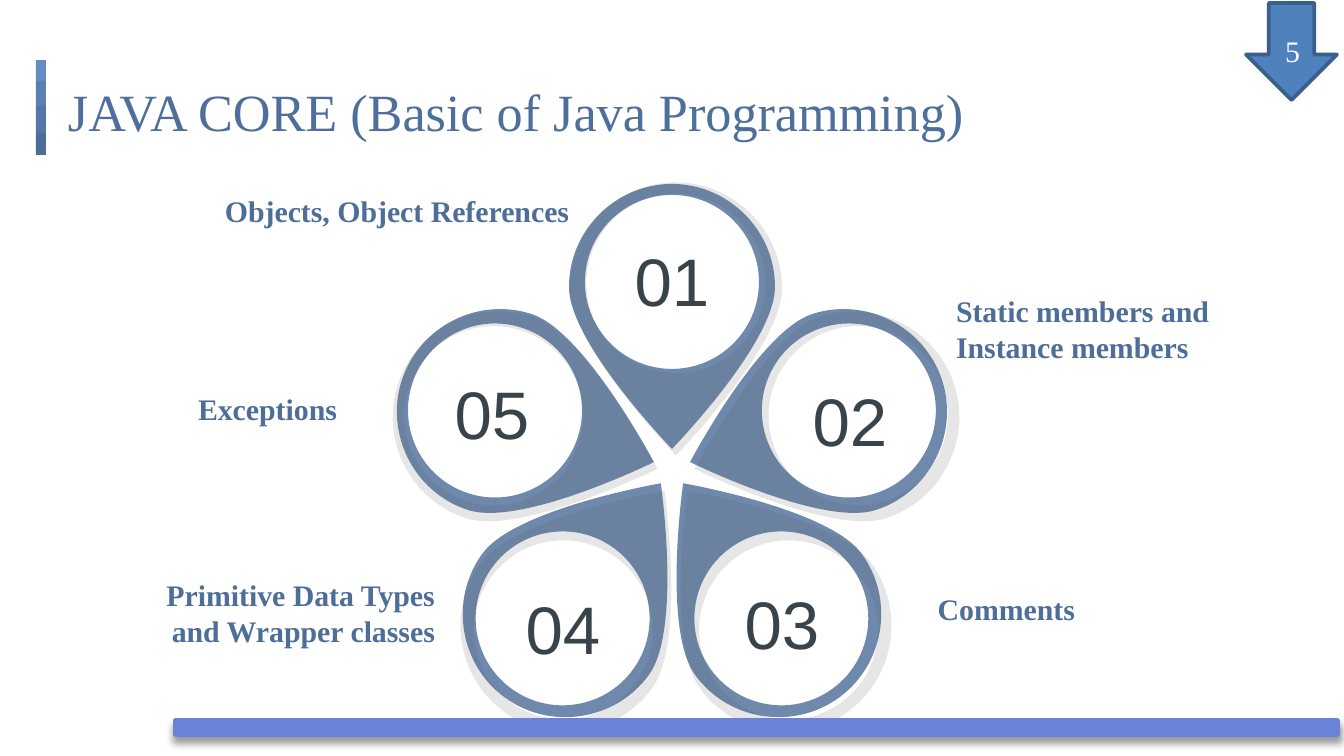
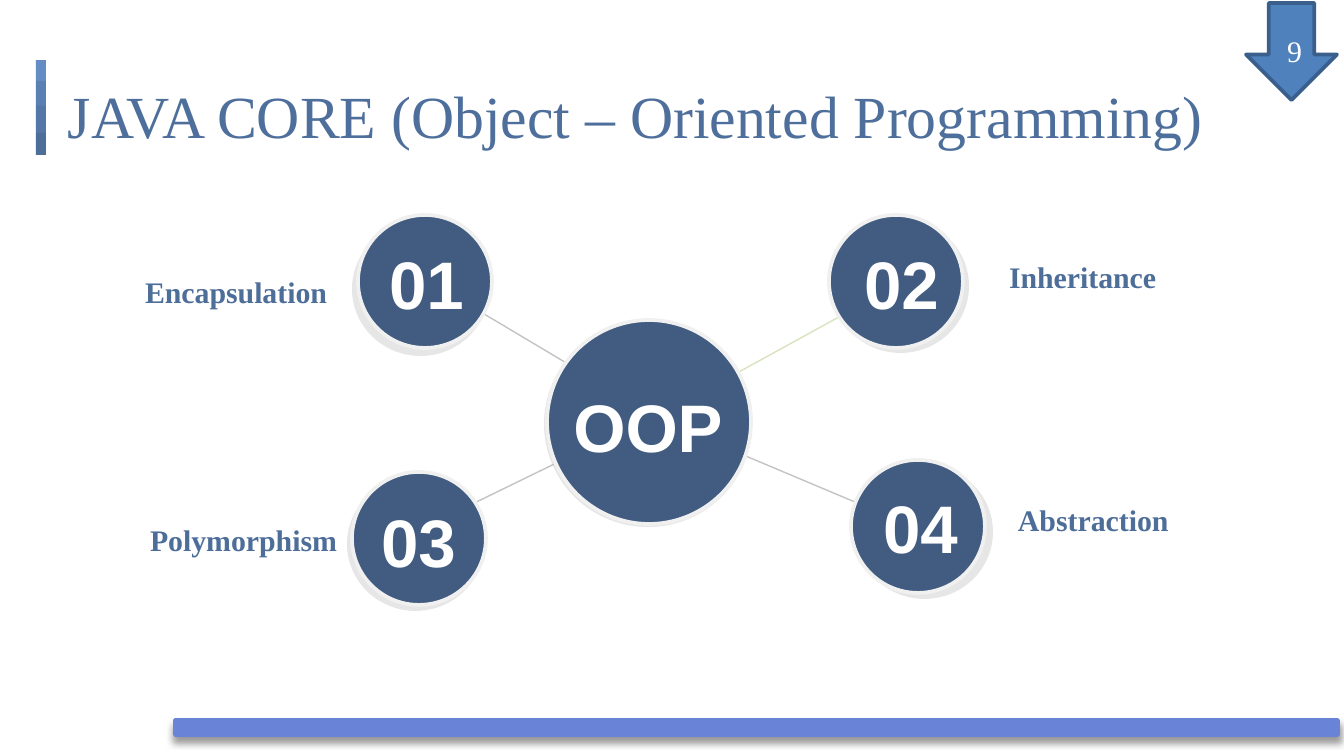
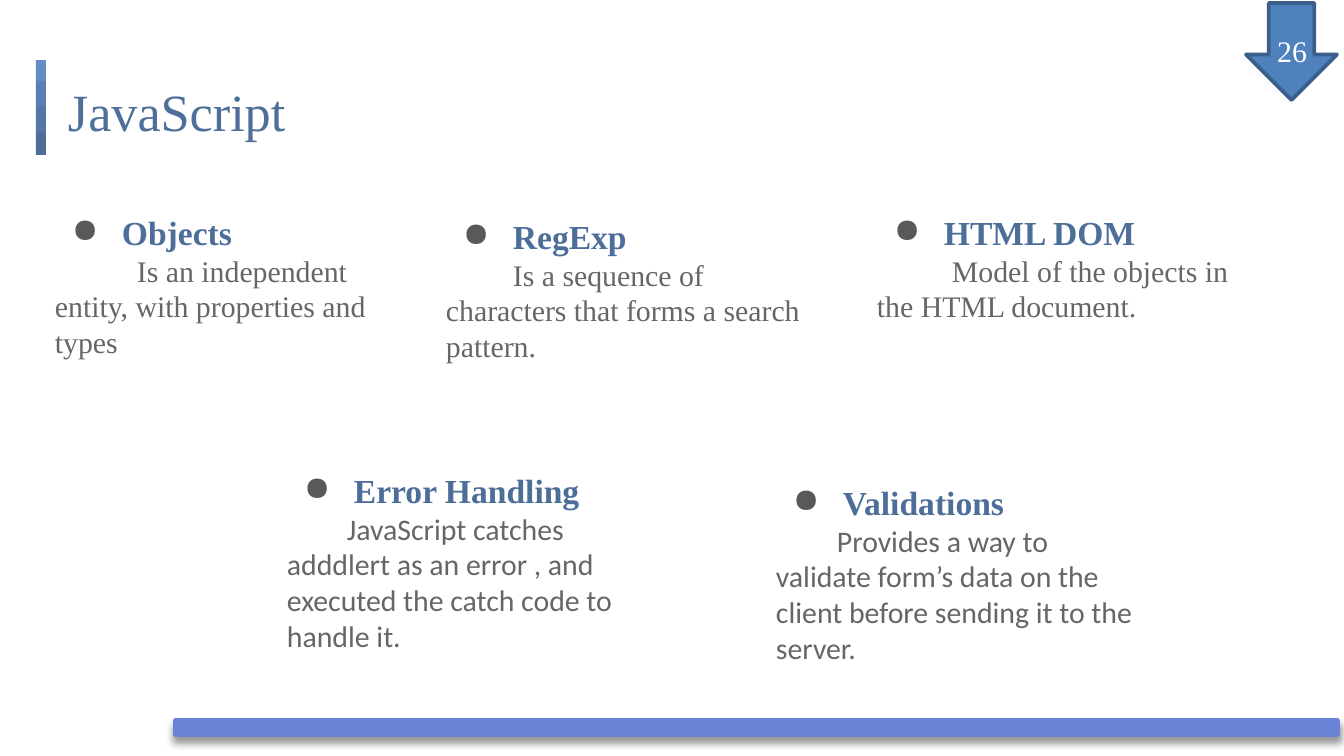
from dataclasses import dataclass
from math import cos, radians, sin

from lxml import etree
from pptx import Presentation
from pptx.dml.color import RGBColor
from pptx.enum.shapes import MSO_CONNECTOR, MSO_SHAPE
from pptx.enum.text import MSO_ANCHOR, MSO_AUTO_SIZE, PP_ALIGN
from pptx.oxml.ns import qn
from pptx.util import Pt

RECT, OVAL, ARROW = MSO_SHAPE.RECTANGLE, MSO_SHAPE.OVAL, MSO_SHAPE.DOWN_ARROW
STRAIGHT = MSO_CONNECTOR.STRAIGHT
LEFT, CENTER, RIGHT = PP_ALIGN.LEFT, PP_ALIGN.CENTER, PP_ALIGN.RIGHT
TOP, MIDDLE = MSO_ANCHOR.TOP, MSO_ANCHOR.MIDDLE
NO_AUTOFIT = MSO_AUTO_SIZE.NONE

EMU_PER_PX = 914400 / 134.4
SLIDE_SIZE = (1344, 756)
TITLE_ONLY_LAYOUT = 5


@dataclass(frozen=True)
class Theme:
    serif: str = "Times New Roman"
    sans: str = "Arial"
    body_font: str = "Calibri"
    title: str = "4E6F9B"
    accent: str = "4E6E9A"
    disc: str = "415C80"
    disc_edge: str = "F0F0F0"
    shade: str = "595959"
    number: str = "38444A"
    body: str = "666666"
    white: str = "FFFFFF"
    bar: str = "6983D7"
    arrow: str = "4F81BD"
    arrow_edge: str = "3A5F8C"
    spoke: str = "C3C3C3"
    pale_spoke: str = "D7E4BD"
    number_size: int = 36
    heading_size: int = 18
    text_size: int = 16
    petal_opacity: int = 81
    shade_opacity: int = 15


THEME = Theme()

# Furniture shared by all slides
STRIPS = [(21, "648DC6"), (25, "5A7FB3"), (27, "5477A7"), (22, "4E6E9A")]
STRIP_LEFT, STRIP_TOP, STRIP_WIDTH = 36, 60, 10
TITLE_BOX = (55, 66, 1243, 83)
BAR_BOX = (175, 720, 1163, 15)
ARROW_BOX = (1246, 3, 91, 97)
INSET = 13

BASICS = {
    "title": "JAVA CORE (Basic of Java Programming)", "title_size": 28,
    "page": "5", "page_left": 1232,
    # number, number position, topic, topic box, topic alignment
    "topics": [
        ("01", (614, 231), "Objects, Object References", (212, 180, 378, 51), LEFT),
        ("02", (792, 371), "Static members and Instance members", (943, 280, 301, 51), LEFT),
        ("03", (724, 574), "Comments", (831, 578, 257, 51), RIGHT),
        ("04", (505, 579), "Primitive Data Types and Wrapper classes", (129, 564, 319, 106), RIGHT),
        ("05", (434, 364), "Exceptions", (185, 378, 241, 51), LEFT),
    ],
}
PETAL_NUMBER_SIZE = (116, 97)
FLOWER_CENTER, SHADE_CENTER, SHADE_SCALE = (672, 468), (676, 475), 1.03

# Upright petal, measured from the centre of the flower:
# a start, then two control points and an end for each curve
PETAL_RIM = [
    (0, -284),
    (-56, -284), (-103, -238), (-103, -181),
    (-103, -125), (0, -19), (0, -19),
    (0, -19), (103, -125), (103, -181),
    (103, -238), (56, -284), (0, -284),
]
PETAL_HOLE = [
    (0, -99),
    (-48, -99), (-87, -138), (-87, -186),
    (-87, -234), (-48, -273), (0, -273),
    (48, -273), (87, -234), (87, -186),
    (87, -138), (48, -99), (0, -99),
]

PILLARS = {
    "title": "JAVA CORE (Object – Oriented Programming)", "title_size": 32,
    "page": "9", "page_left": 1234,
    # number, disc, shade, number position, spoke, spoke colour, name, name position
    "pillars": [
        ("01", (358, 215), (352, 222), (368, 241), (427, 280, 657, 417),
         THEME.spoke, "Encapsulation", (132, 261)),
        ("02", (829, 215), (832, 219), (843, 241), (890, 289, 657, 417),
         THEME.pale_spoke, "Inheritance", (996, 246)),
        ("03", (352, 472), (347, 477), (360, 499), (458, 511, 657, 414),
         THEME.spoke, "Polymorphism", (137, 509)),
        ("04", (851, 460), (856, 465), (862, 485), (907, 524, 665, 422),
         THEME.spoke, "Abstraction", (1005, 489)),
    ],
}
HUB, HUB_BOX = "OOP", (547, 320, 204, 204)
HUB_SHADE_BOX, HUB_TEXT_BOX = (544, 321, 208, 206), (552, 384, 192, 83)
DISC_SIZE, DISC_SHADE_SIZE = (134, 133), (137, 134)
DISC_NUMBER_SIZE, PILLAR_NAME_SIZE = (117, 83), (241, 51)

SCRIPTING = {
    "title": "JavaScript", "title_size": 28, "page": "26", "page_left": 1239,
    # heading, explanation, position, first-line indent, font
    "cards": [
        ("Objects", "Is an independent entity, with properties and types",
         (42, 199), 82, THEME.serif),
        ("RegExp", "Is a sequence of characters that forms a search pattern.",
         (433, 203), 67, THEME.serif),
        ("HTML DOM", "Model of the objects in the HTML document.",
         (864, 199), 75, THEME.serif),
        ("Error Handling", "JavaScript catches adddlert as an error , and executed "
         "the catch code to handle it.", (274, 457), 60, THEME.body_font),
        ("Validations", "Provides a way to validate form’s data on the client before "
         "sending it to the server.", (763, 469), 61, THEME.body_font),
    ],
}
CARD_SIZE = (398, 251)
BULLET_MARGIN, BULLET_HANG = 67, -50


def px(length):
    return round(length * EMU_PER_PX)


def emu(box):
    return [px(length) for length in box]


def rgb(colour):
    return RGBColor.from_string(colour)


def paint(shape, fill, edge=None, opacity=100):
    shape.shadow.inherit = False
    shape.fill.solid()
    shape.fill.fore_color.rgb = rgb(fill)
    if opacity < 100:
        srgb = shape.element.spPr.find(f"{qn('a:solidFill')}/{qn('a:srgbClr')}")
        etree.SubElement(srgb, qn("a:alpha"), val=str(opacity * 1000))
    if edge:
        shape.line.color.rgb = rgb(edge)
        shape.line.width = Pt(2)
    else:
        shape.line.fill.background()
    return shape


def add_figure(slide, preset, box, fill, edge=None, opacity=100):
    return paint(slide.shapes.add_shape(preset, *emu(box)), fill, edge, opacity)


def set_frame(frame, anchor):
    frame.word_wrap = True
    frame.auto_size = NO_AUTOFIT
    frame.vertical_anchor = anchor
    frame.margin_left = frame.margin_right = px(INSET)
    frame.margin_top = frame.margin_bottom = px(INSET)


def write(paragraph, text, size, colour, font=THEME.serif, bold=False, align=LEFT):
    paragraph.text = text
    paragraph.alignment = align
    paragraph.font.name = font
    paragraph.font.size = Pt(size)
    paragraph.font.bold = bold
    paragraph.font.color.rgb = rgb(colour)


def add_frame(slide, box, anchor=TOP):
    frame = slide.shapes.add_textbox(*emu(box)).text_frame
    set_frame(frame, anchor)
    return frame


def add_label(slide, text, box, align=LEFT):
    write(add_frame(slide, box).paragraphs[0], text, THEME.text_size,
          THEME.accent, bold=True, align=align)


def add_number(slide, text, box, colour, bold=False):
    write(add_frame(slide, box, MIDDLE).paragraphs[0], text, THEME.number_size,
          colour, THEME.sans, bold, CENTER)


def add_strips(slide):
    """Draw the strips beside the title and hand them to the layout."""
    top = STRIP_TOP
    for height, colour in STRIPS:
        strip = add_figure(slide, RECT, (STRIP_LEFT, top, STRIP_WIDTH, height), colour)
        slide.slide_layout.shapes.element.append(strip.element)
        top += height


def add_titled_slide(deck, content):
    slide = deck.slides.add_slide(deck.slide_layouts[TITLE_ONLY_LAYOUT])
    title = slide.shapes.title
    title.left, title.top, title.width, title.height = emu(TITLE_BOX)
    set_frame(title.text_frame, TOP)
    write(title.text_frame.paragraphs[0], content["title"], content["title_size"], THEME.title)
    return slide


def add_furniture(slide, content):
    """Add the bottom bar and the page arrow above the content."""
    bar = add_figure(slide, RECT, BAR_BOX, THEME.bar, THEME.bar)
    effects = bar.element.spPr.find(qn("a:effectLst"))
    shadow = etree.SubElement(effects, qn("a:outerShdw"), blurRad=str(Pt(4)),
                              dist=str(Pt(3)), dir="5400000", rotWithShape="0")
    black = etree.SubElement(shadow, qn("a:srgbClr"), val="000000")
    etree.SubElement(black, qn("a:alpha"), val="40000")

    add_figure(slide, ARROW, ARROW_BOX, THEME.arrow, THEME.arrow_edge)
    page = add_frame(slide, (content["page_left"], 19, 81, 64), MIDDLE)
    write(page.paragraphs[0], content["page"], THEME.text_size, THEME.white, align=RIGHT)


def bend(outline):
    """Turn every three straight segments into one cubic curve."""
    segments = list(outline.element.iter(qn("a:lnTo")))
    for first in range(0, len(segments), 3):
        curve = etree.Element(qn("a:cubicBezTo"))
        segments[first].addprevious(curve)
        for segment in segments[first:first + 3]:
            curve.append(segment[0])
            segment.getparent().remove(segment)


def add_petal(slide, center, degrees, scale, fill, opacity):
    turn = radians(degrees)

    def place(point):
        x, y = point
        return (px(center[0] + scale * (x * cos(turn) - y * sin(turn))),
                px(center[1] + scale * (x * sin(turn) + y * cos(turn))))

    rim = [place(point) for point in PETAL_RIM]
    hole = [place(point) for point in PETAL_HOLE]
    builder = slide.shapes.build_freeform(*rim[0])
    builder.add_line_segments(rim[1:], close=True)
    builder.move_to(*hole[0])
    builder.add_line_segments(hole[1:], close=True)
    petal = paint(builder.convert_to_shape(), fill, opacity=opacity)
    bend(petal)


def fill_basics(slide):
    topics = BASICS["topics"]
    layers = [(FLOWER_CENTER, 1, THEME.accent, THEME.petal_opacity),
              (SHADE_CENTER, SHADE_SCALE, THEME.shade, THEME.shade_opacity)]
    for center, scale, fill, opacity in layers:
        for index in range(len(topics)):
            add_petal(slide, center, 360 / len(topics) * index, scale, fill, opacity)
    for number, number_at, topic, topic_box, align in topics:
        add_number(slide, number, number_at + PETAL_NUMBER_SIZE, THEME.number)
        add_label(slide, topic, topic_box, align)


def add_spoke(slide, ends, colour):
    spoke = slide.shapes.add_connector(STRAIGHT, *emu(ends))
    spoke.line.color.rgb = rgb(colour)
    spoke.line.width = Pt(0.75)
    etree.SubElement(spoke.element.spPr, qn("a:effectLst"))


def fill_pillars(slide):
    pillars = PILLARS["pillars"]
    shades = [HUB_SHADE_BOX] + [pillar[2] + DISC_SHADE_SIZE for pillar in pillars]
    for box in shades:
        add_figure(slide, OVAL, box, THEME.shade, opacity=THEME.shade_opacity)
    for pillar in pillars:
        add_spoke(slide, pillar[4], pillar[5])

    discs = [(HUB, HUB_BOX, HUB_TEXT_BOX)]
    for number, disc_at, _, number_at, _, _, name, name_at in pillars:
        discs.append((number, disc_at + DISC_SIZE, number_at + DISC_NUMBER_SIZE))
        add_label(slide, name, name_at + PILLAR_NAME_SIZE)
    for caption, disc_box, caption_box in discs:
        add_figure(slide, OVAL, disc_box, THEME.disc, THEME.disc_edge)
        add_number(slide, caption, caption_box, THEME.white, bold=True)


def set_indent(paragraph, margin, indent):
    properties = paragraph._p.get_or_add_pPr()
    properties.set("marL", str(px(margin)))
    properties.set("indent", str(px(indent)))
    return properties


def add_bullet(paragraph):
    properties = set_indent(paragraph, BULLET_MARGIN, BULLET_HANG)
    bullet = etree.Element(qn("a:buChar"), char="●")
    colour = etree.Element(qn("a:buClr"))
    etree.SubElement(colour, qn("a:srgbClr"), val=THEME.shade)
    properties.insert(0, colour)
    properties.insert(1, bullet)


def fill_scripting(slide):
    for heading, explanation, position, indent, font in SCRIPTING["cards"]:
        frame = add_frame(slide, position + CARD_SIZE)
        head = frame.paragraphs[0]
        write(head, heading, THEME.heading_size, THEME.accent, bold=True)
        add_bullet(head)
        detail = frame.add_paragraph()
        write(detail, explanation, THEME.text_size, THEME.body, font)
        set_indent(detail, 0, indent)


def main():
    deck = Presentation()
    deck.slide_width, deck.slide_height = emu(SLIDE_SIZE)
    pages = [(BASICS, fill_basics), (PILLARS, fill_pillars), (SCRIPTING, fill_scripting)]
    for content, fill_content in pages:
        slide = add_titled_slide(deck, content)
        if content is BASICS:
            add_strips(slide)
        fill_content(slide)
        add_furniture(slide, content)
    deck.save("out.pptx")


if __name__ == "__main__":
    main()
